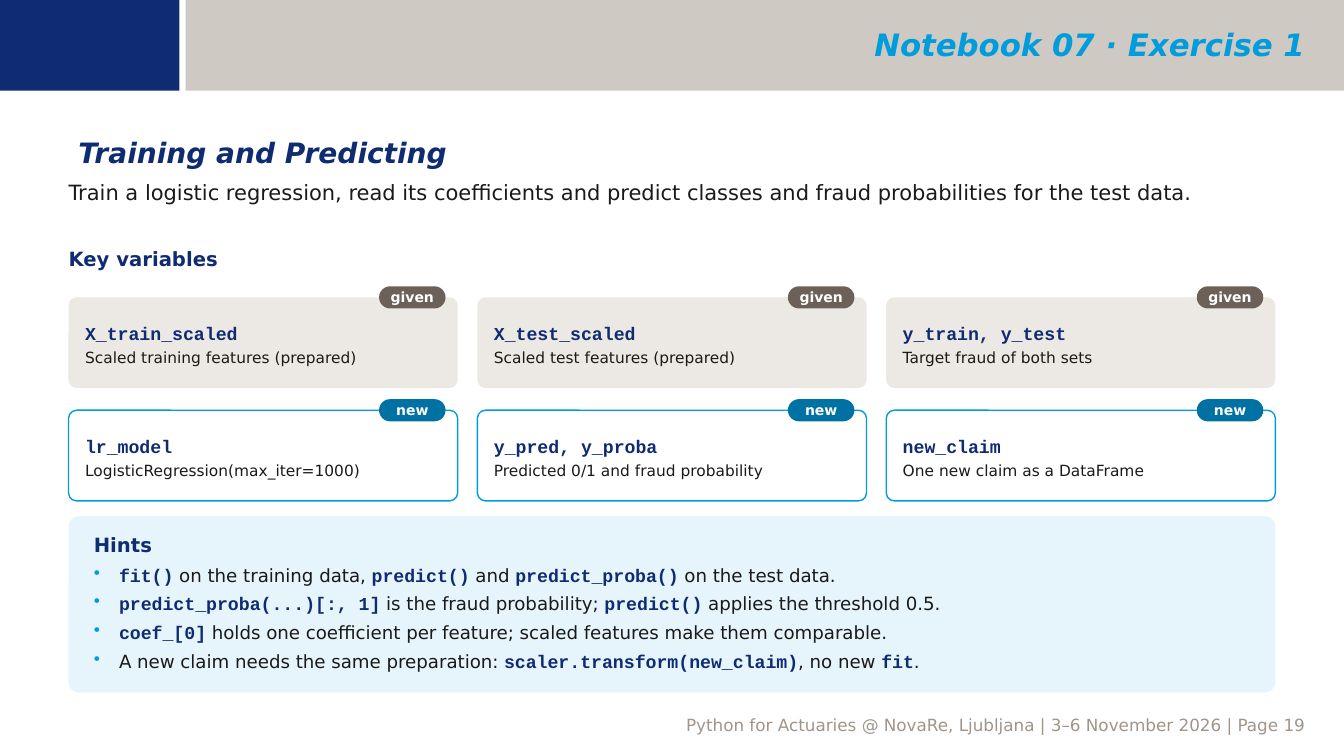
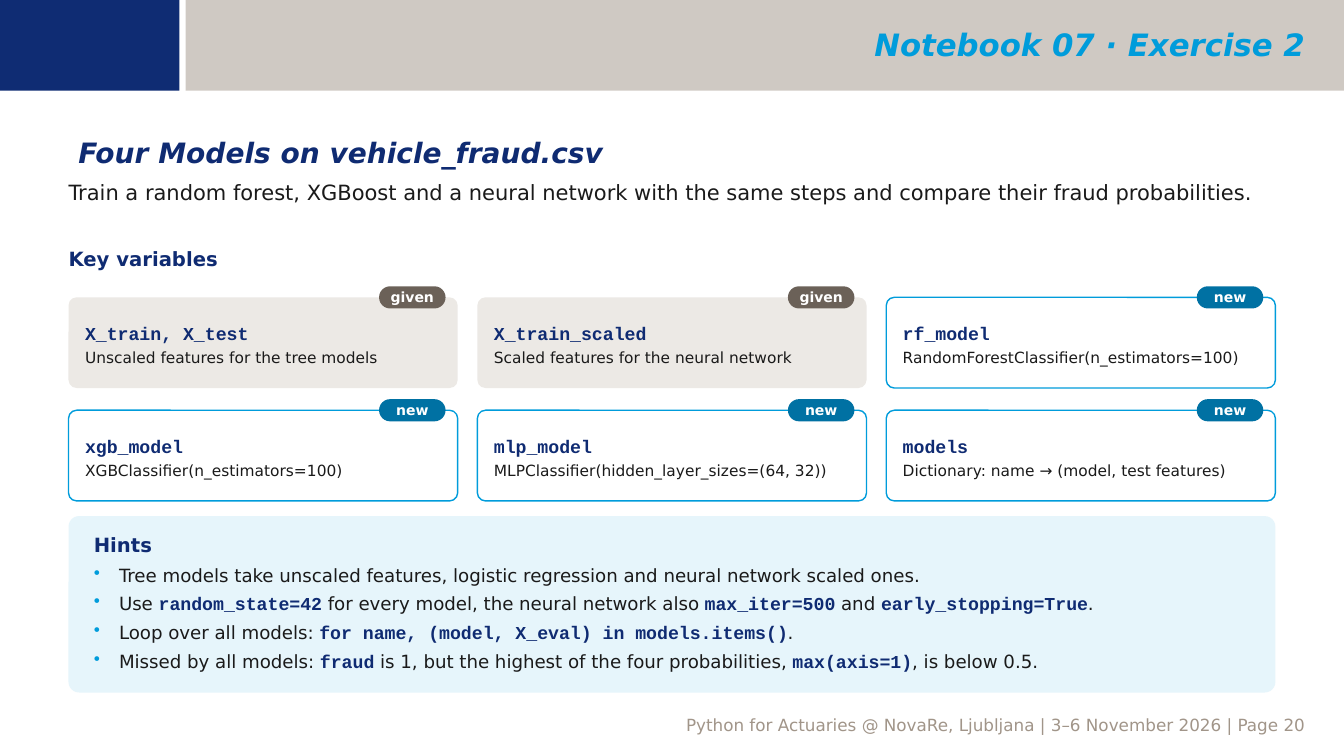
from lxml import etree
from pptx import Presentation
from pptx.dml.color import RGBColor as RGB
from pptx.enum.shapes import MSO_SHAPE as SHAPE
from pptx.enum.text import MSO_ANCHOR as ANCHOR, PP_ALIGN as ALIGN
from pptx.oxml.ns import qn
from pptx.util import Inches, Pt

COLORS = {
    "navy": "0F2B72", "band_navy": "0F2C73", "cyan": "009CDB", "teal": "0071A3",
    "taupe": "A19589", "brown": "6B6158", "sand": "ECE9E5", "ice": "E6F5FB",
    "ink": "1A1A1A", "white": "FFFFFF",
}
SANS, MONO = "DejaVu Sans", "Courier New"
LEFT, WIDTH = 0.68, 11.97
CARD_W, CARD_H, CARD_PITCH = 3.86, 0.9, 1.12
FOOTER = "Python for Actuaries @ NovaRe, Ljubljana | 3–6 November 2026 | Page {}"

# Card kind: fill, outline, badge colour
CARD_STYLES = {"given": ("sand", None, "brown"), "new": ("white", "cyan", "teal")}

SLIDES = [
    {
        "page": 19,
        "band": "Notebook 07 · Exercise 1",
        "title": "Training and Predicting",
        "task": "Train a logistic regression, read its coefficients and predict "
                "classes and fraud probabilities for the test data.",
        "cards": [
            ("given", "X_train_scaled", "Scaled training features (prepared)"),
            ("given", "X_test_scaled", "Scaled test features (prepared)"),
            ("given", "y_train, y_test", "Target fraud of both sets"),
            ("new", "lr_model", "LogisticRegression(max_iter=1000)"),
            ("new", "y_pred, y_proba", "Predicted 0/1 and fraud probability"),
            ("new", "new_claim", "One new claim as a DataFrame"),
        ],
        "hints": [
            "`fit()` on the training data, `predict()` and `predict_proba()` on the test data.",
            "`predict_proba(...)[:, 1]` is the fraud probability; "
            "`predict()` applies the threshold 0.5.",
            "`coef_[0]` holds one coefficient per feature; scaled features make them comparable.",
            "A new claim needs the same preparation: "
            "`scaler.transform(new_claim)`, no new `fit`.",
        ],
    },
    {
        "page": 20,
        "band": "Notebook 07 · Exercise 2",
        "title": "Four Models on vehicle_fraud.csv",
        "task": "Train a random forest, XGBoost and a neural network with the same "
                "steps and compare their fraud probabilities.",
        "cards": [
            ("given", "X_train, X_test", "Unscaled features for the tree models"),
            ("given", "X_train_scaled", "Scaled features for the neural network"),
            ("new", "rf_model", "RandomForestClassifier(n_estimators=100)"),
            ("new", "xgb_model", "XGBClassifier(n_estimators=100)"),
            ("new", "mlp_model", "MLPClassifier(hidden_layer_sizes=(64, 32))"),
            ("new", "models", "Dictionary: name → (model, test features)"),
        ],
        "hints": [
            "Tree models take unscaled features, logistic regression and neural network "
            "scaled ones.",
            "Use `random_state=42` for every model, the neural network also "
            "`max_iter=500` and `early_stopping=True`.",
            "Loop over all models: `for name, (model, X_eval) in models.items()`.",
            "Missed by all models: `fraud` is 1, but the highest of the four "
            "probabilities, `max(axis=1)`, is below 0.5.",
        ],
    },
]


def rgb(name):
    return RGB.from_string(COLORS[name])


def add_run(p, text, size, color="ink", font=SANS, bold=False, italic=False):
    r = p.add_run()
    r.text = text
    r.font.size, r.font.name = Pt(size), font
    r.font.bold, r.font.italic = bold, italic
    r.font.color.rgb = rgb(color)


def add_text(tf, text, align=ALIGN.LEFT, before=0, bullet=False, **fmt):
    """Add a paragraph; parts between backticks are set as code."""
    first = tf.paragraphs[0]
    p = tf.add_paragraph() if first.runs else first
    p.alignment = align
    if before:
        p.space_before = Pt(before)
    if bullet:
        pPr = p._p.get_or_add_pPr()
        pPr.set("marL", str(Inches(0.25)))
        pPr.set("indent", str(-Inches(0.25)))
        clr = etree.SubElement(pPr, qn("a:buClr"))
        etree.SubElement(clr, qn("a:srgbClr"), val=COLORS["cyan"])
        etree.SubElement(pPr, qn("a:buChar"), char="•")
    code = {**fmt, "font": MONO, "color": "navy", "bold": True}
    for i, part in enumerate(text.split("`")):
        if part:
            add_run(p, part, **(code if i % 2 else fmt))


def set_frame(sp, insets, anchor):
    tf = sp.text_frame
    tf.word_wrap = True
    tf.vertical_anchor = anchor
    tf.margin_left, tf.margin_top, tf.margin_right, tf.margin_bottom = map(Inches, insets)
    return tf


def add_box(s, x, y, w, h, insets=(0, 0, 0, 0), anchor=ANCHOR.TOP):
    sp = s.shapes.add_textbox(Inches(x), Inches(y), Inches(w), Inches(h))
    return set_frame(sp, insets, anchor)


def add_panel(s, x, y, w, h, fill, line=None, radius=None):
    kind = SHAPE.RECTANGLE if radius is None else SHAPE.ROUNDED_RECTANGLE
    sp = s.shapes.add_shape(kind, Inches(x), Inches(y), Inches(w), Inches(h))
    sp.shadow.inherit = False
    if radius is not None:
        sp.adjustments[0] = radius
    sp.fill.solid()
    sp.fill.fore_color.rgb = rgb(fill)
    if line:
        sp.line.color.rgb = rgb(line)
        sp.line.width = Pt(1)
    else:
        sp.line.fill.background()
    return sp


def add_frame(s, band, page):
    """Footer and header band shared by all slides."""
    padding = (0.1, 0.05, 0.1, 0.05)
    add_text(add_box(s, 0.76, 7.05, 12.29, 0.09, padding), FOOTER.format(page),
             align=ALIGN.RIGHT, size=12, color="taupe")
    bar = add_panel(s, 1.84, 0, 11.49, 0.9, "taupe")
    bar_color = bar.fill._xPr.find(qn("a:solidFill"))[0]
    etree.SubElement(bar_color, qn("a:alpha"), val="50000")
    add_panel(s, 0, 0, 1.78, 0.9, "band_navy")
    add_text(add_box(s, 2.02, 0.02, 11.02, 0.84, padding, ANCHOR.MIDDLE), band,
             align=ALIGN.RIGHT, size=22, color="cyan", bold=True, italic=True)


def add_intro(s, x, y, w, title, task):
    add_text(add_box(s, x, y, w, 0.4, (0.1, 0.05, 0.1, 0.05)), title,
             size=20, color="navy", bold=True, italic=True)
    add_text(add_box(s, x, y + 0.48, w, 0.62), task, size=15)


def add_card(s, x, y, kind, name, note):
    fill, line, badge_fill = CARD_STYLES[kind]
    card = add_panel(s, x, y, CARD_W, CARD_H, fill, line, 0.09)
    tf = set_frame(card, (0.14, 0.1, 0.14, 0.06), ANCHOR.MIDDLE)
    add_text(tf, name, size=13, color="navy", font=MONO, bold=True)
    add_text(tf, note, before=3, size=11)
    # Badge straddling the top edge
    badge = add_panel(s, x + CARD_W - 0.78, y - 0.11, 0.66, 0.22, badge_fill, radius=0.5)
    add_text(set_frame(badge, (0, 0, 0, 0), ANCHOR.MIDDLE), kind,
             align=ALIGN.CENTER, size=10, color="white", bold=True)


def add_variables(s, x, y, w, cards, columns=3):
    add_text(add_box(s, x, y, 6, 0.32), "Key variables", size=14, color="navy", bold=True)
    step = (w - CARD_W) / (columns - 1)
    for i, card in enumerate(cards):
        row, col = divmod(i, columns)
        add_card(s, x + col * step, y + 0.5 + row * CARD_PITCH, *card)


def add_hints(s, x, y, w, h, hints):
    panel = add_panel(s, x, y, w, h, "ice", radius=0.06)
    tf = set_frame(panel, (0.22, 0.14, 0.22, 0.1), ANCHOR.TOP)
    add_text(tf, "Hints", size=14, color="navy", bold=True)
    for hint in hints:
        add_text(tf, hint, before=5, bullet=True, size=13)


def add_exercise(prs, data):
    s = prs.slides.add_slide(prs.slide_layouts[6])
    add_frame(s, data["band"], data["page"])
    add_intro(s, LEFT, 1.3, WIDTH, data["title"], data["task"])
    add_variables(s, LEFT, 2.45, WIDTH, data["cards"])
    add_hints(s, LEFT, 5.12, WIDTH, 1.75, data["hints"])


def main():
    prs = Presentation()
    prs.slide_width, prs.slide_height = Inches(13.33), Inches(7.5)
    for data in SLIDES:
        add_exercise(prs, data)
    prs.save("out.pptx")


if __name__ == "__main__":
    main()
